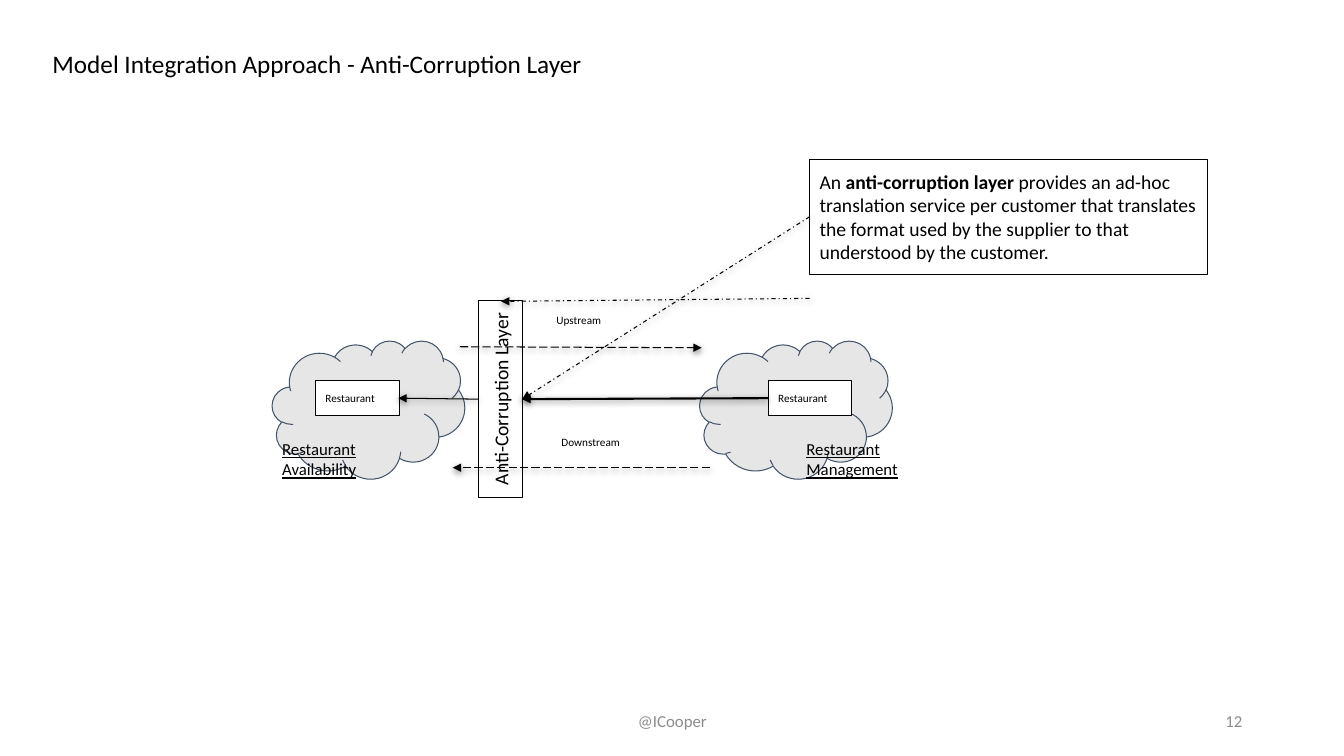
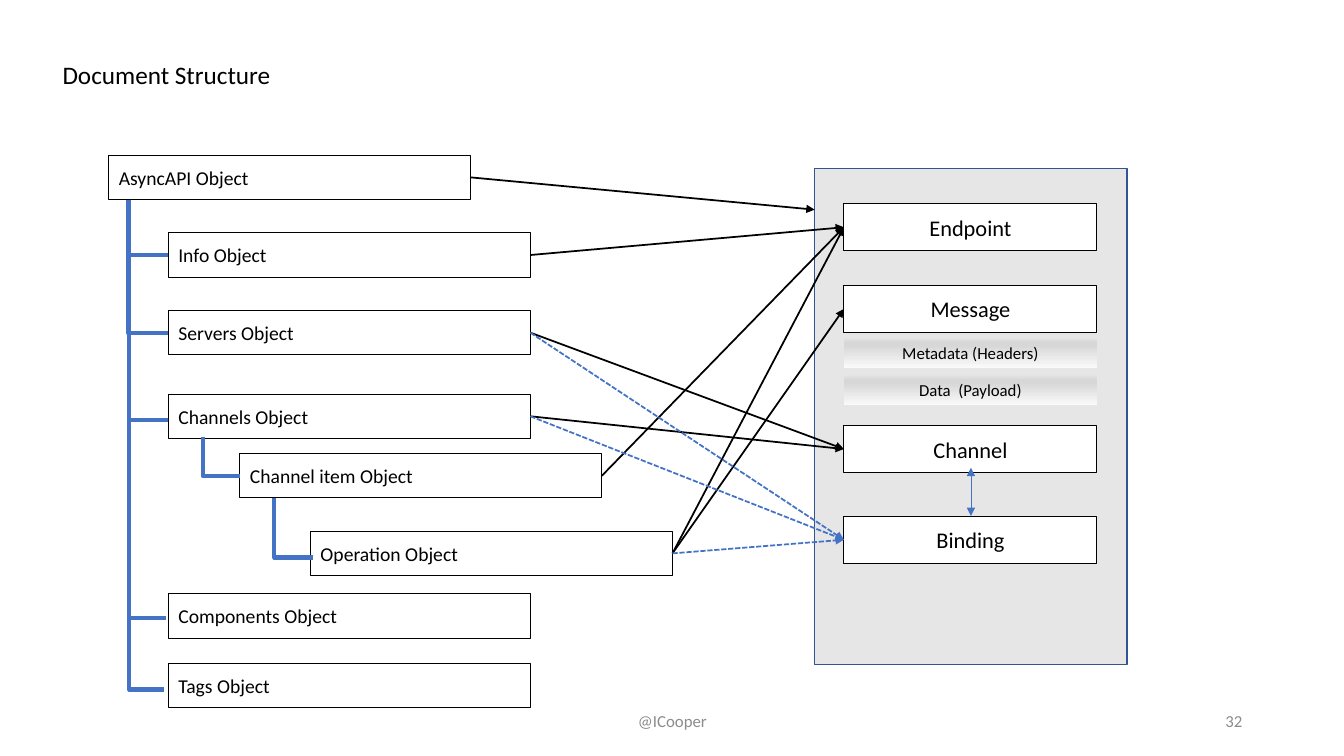
import pptx
import pptx.dml.color
import pptx.enum.dml
import pptx.enum.shapes
import pptx.enum.text
import pptx.oxml
import pptx.oxml.ns
import pptx.util

Inches = pptx.util.Inches
Pt = pptx.util.Pt
RGBColor = pptx.dml.color.RGBColor
SHAPE = pptx.enum.shapes.MSO_SHAPE
CONNECTOR = pptx.enum.shapes.MSO_CONNECTOR
DASH = pptx.enum.dml.MSO_LINE
ALIGN = pptx.enum.text.PP_ALIGN
ANCHOR = pptx.enum.text.MSO_ANCHOR
qn = pptx.oxml.ns.qn
A_NS = pptx.oxml.ns.nsdecls("a")

BLACK = RGBColor(0x00, 0x00, 0x00)
WHITE = RGBColor(0xFF, 0xFF, 0xFF)
LIGHT_GREY = RGBColor(0xE7, 0xE6, 0xE6)
FOOTER_GREY = RGBColor(0x8C, 0x8C, 0x8C)
SLATE = RGBColor(0x44, 0x54, 0x6A)
BLUE = RGBColor(0x44, 0x72, 0xC4)
DARK_BLUE = RGBColor(0x32, 0x54, 0x91)
FONT = "Calibri"

SOFT_SHADOW = (
    f'<a:effectLst {A_NS}><a:outerShdw blurRad="57150" dist="19050" dir="5400000" '
    'algn="ctr" rotWithShape="0"><a:srgbClr val="000000"><a:alpha val="50000"/>'
    '</a:srgbClr></a:outerShdw></a:effectLst>')
NO_SHADOW = f"<a:effectLst {A_NS}/>"


def add_box(slide, at, text="", size=14, kind=SHAPE.RECTANGLE, fill=None,
            line=BLACK, width=0.75, align=ALIGN.LEFT, color=BLACK):
    """Add a shape with text, or a plain text box when kind is None."""
    place = [Inches(value) for value in at]
    if kind is None:
        box = slide.shapes.add_textbox(*place)
    else:
        box = slide.shapes.add_shape(kind, *place)
        box.shadow.inherit = False
        if fill is None:
            box.fill.background()
        else:
            box.fill.solid()
            box.fill.fore_color.rgb = fill
        if line is None:
            box.line.fill.background()
        else:
            box.line.color.rgb = line
            box.line.width = Pt(width)
    frame = box.text_frame
    frame.word_wrap = True
    frame.vertical_anchor = ANCHOR.MIDDLE
    frame.margin_left = frame.margin_right = Inches(0.1)
    if text:
        frame.text = text
        paragraph = frame.paragraphs[0]
        paragraph.alignment = align
        font = paragraph.runs[0].font
        font.name, font.size, font.color.rgb = FONT, Pt(size), color
    return box


def connect(slide, begin, end, color=BLACK, width=0.75, dash=None,
            arrows=("tailEnd",), effect=NO_SHADOW, kind=CONNECTOR.STRAIGHT):
    """Add a connector with triangle heads at the named ends."""
    points = [Inches(value) for value in (*begin, *end)]
    connector = slide.shapes.add_connector(kind, *points)
    connector.line.color.rgb = color
    connector.line.width = Pt(width)
    if dash is not None:
        connector.line.dash_style = dash
    properties = connector._element.spPr
    outline = properties.find(qn("a:ln"))
    for arrow in arrows:
        outline.append(pptx.oxml.parse_xml(f'<a:{arrow} {A_NS} type="triangle"/>'))
    properties.append(pptx.oxml.parse_xml(effect))
    return connector


prs = pptx.Presentation()
prs.slide_width = Inches(13.33)
prs.slide_height = Inches(7.5)

# Titles, footers and page numbers
pages = []
for title_text, left, top, number in [
    ("Model Integration Approach - Anti-Corruption Layer", 0.42, 0.38, "12"),
    ("Document Structure", 0.52, 0.49, "32"),
]:
    slide = prs.slides.add_slide(prs.slide_layouts[5])
    title = slide.shapes.title
    title.left, title.top = Inches(left), Inches(top)
    title.width, title.height = Inches(8.65), Inches(0.5)
    frame = title.text_frame
    frame.text = title_text
    frame.auto_size = pptx.enum.text.MSO_AUTO_SIZE.NONE
    frame.vertical_anchor = ANCHOR.TOP
    frame.margin_left = frame.margin_right = Inches(0.1)
    frame.margin_top = frame.margin_bottom = Inches(0.1)
    frame.paragraphs[0].alignment = ALIGN.LEFT
    font = frame.paragraphs[0].runs[0].font
    font.name, font.size, font.color.rgb = FONT, Pt(18), BLACK
    add_box(slide, (4.42, 6.95, 4.5, 0.4), "@ICooper", 12, None,
            align=ALIGN.CENTER, color=FOOTER_GREY)
    add_box(slide, (9.42, 6.95, 3, 0.4), number, 12, None,
            align=ALIGN.RIGHT, color=FOOTER_GREY)
    pages.append(slide)
integration, structure = pages

# Slide 1: the two contexts
for cloud_left, model_left, label_left, label_width, context in [
    (2.7, 3.13, 2.7, 1.13, "Restaurant Availability"),
    (6.94, 7.62, 7.9, 1.3, "Restaurant Management"),
]:
    add_box(integration, (cloud_left, 3.38, 1.91, 1.37), kind=SHAPE.CLOUD,
            fill=LIGHT_GREY, line=SLATE)
    label = add_box(integration, (label_left, 4.25, label_width, 0.61), context, 12, None)
    label.text_frame.paragraphs[0].runs[0].font.underline = True
    add_box(integration, (model_left, 3.78, 0.83, 0.34), "Restaurant", 8, fill=WHITE)

add_box(integration, (5.42, 3.01, 0.9, 0.34), "Upstream", 8, None)
add_box(integration, (5.47, 4.22, 0.9, 0.34), "Downstream", 8, None)

# Slide 1: the layer and its explanation
layer = add_box(integration, (3.99, 3.74, 1.95, 0.44), "Anti-Corruption Layer",
                align=ALIGN.CENTER)
layer.rotation = 270

explanation = add_box(integration, (8.03, 1.58, 3.95, 1.14), "An ")
for text, bold in [
    ("anti-corruption layer", True),
    (" provides an ad-hoc translation service per customer that translates "
     "the format used by the supplier to that understood by the customer.", False),
]:
    run = explanation.text_frame.paragraphs[0].add_run()
    run.text = text
    run.font.name, run.font.size, run.font.color.rgb = FONT, Pt(14), BLACK
    run.font.bold = bold

# Slide 1: flows between the contexts
for begin, end, width, dash in [
    ((4.56, 3.44), (6.96, 3.45), 0.75, DASH.LONG_DASH),
    ((7.04, 4.64), (4.49, 4.64), 0.75, DASH.LONG_DASH),
    ((7.62, 3.95), (5.18, 3.96), 1.5, None),
    ((4.75, 3.96), (3.95, 3.95), 0.75, None),
    ((8.03, 2.96), (4.97, 2.99), 0.75, DASH.DASH_DOT),
    ((8.03, 2.15), (5.18, 3.96), 0.75, DASH.DASH_DOT),
]:
    connect(integration, begin, end, width=width, dash=dash, effect=SOFT_SHADOW)

# Slide 2: the object tree
OBJECT_WIDTH, OBJECT_HEIGHT = 3.59, 0.44
exits = {}
for name, left, top in [
    ("AsyncAPI", 1.08, 1.54),
    ("Info", 1.67, 2.31),
    ("Servers", 1.67, 3.08),
    ("Channels", 1.67, 3.91),
    ("Channel item", 2.38, 4.5),
    ("Operation", 3.08, 5.27),
    ("Components", 1.67, 5.89),
    ("Tags", 1.67, 6.58),
]:
    add_box(structure, (left, top, OBJECT_WIDTH, OBJECT_HEIGHT), name + " Object")
    exits[name] = (left + OBJECT_WIDTH, top + OBJECT_HEIGHT / 2)

# Slide 2: branches, each going down and then right
for x, y, child_x, child_y in [
    (1.28, 1.98, 1.67, 2.53),
    (1.27, 1.98, 1.67, 3.3),
    (1.28, 1.98, 1.67, 4.17),
    (1.28, 1.98, 1.65, 6.13),
    (1.28, 1.98, 1.63, 6.84),
    (2.01, 4.34, 2.38, 4.72),
    (2.72, 4.94, 3.1, 5.53),
]:
    middle_x, middle_y = (x + child_x) / 2, (y + child_y) / 2
    half_drop, half_reach = (child_y - y) / 2, (child_x - x) / 2
    branch = connect(structure, (middle_x - half_drop, middle_y - half_reach),
                     (middle_x + half_drop, middle_y + half_reach),
                     BLUE, 3, arrows=(), kind=CONNECTOR.ELBOW)
    properties = branch._element.spPr
    properties.find(qn("a:prstGeom")).set("prst", "bentConnector2")
    turn = properties.find(qn("a:xfrm"))
    turn.set("rot", "16200000")
    turn.set("flipH", "1")

# Slide 2: the panel of concepts
add_box(structure, (8.08, 1.67, 3.1, 4.92), fill=LIGHT_GREY, line=DARK_BLUE, width=1)
CONCEPT_LEFT, CONCEPT_WIDTH, CONCEPT_HEIGHT = 8.37, 2.51, 0.47
entries = {"Panel": (8.08, 2.08)}
for name, top in [("Endpoint", 2.02), ("Message", 2.83), ("Channel", 4.22), ("Binding", 5.12)]:
    add_box(structure, (CONCEPT_LEFT, top, CONCEPT_WIDTH, CONCEPT_HEIGHT), name, 16,
            fill=WHITE, align=ALIGN.CENTER)
    entries[name] = (CONCEPT_LEFT, top + CONCEPT_HEIGHT / 2)

for text, top in [("Metadata (Headers)", 3.35), ("Data  (Payload)", 3.72)]:
    part = add_box(structure, (CONCEPT_LEFT, top, CONCEPT_WIDTH, 0.3), text, 12,
                   line=None, align=ALIGN.CENTER)
    part.fill.gradient()
    part.fill.gradient_angle = 90
    stops = part._element.spPr.find(qn("a:gradFill")).find(qn("a:gsLst"))
    for stop in list(stops):
        stops.remove(stop)
    for percent, shade in [(0, "FAFAFA"), (74, "D7D7D7"), (83, "D7D7D7"), (100, "E4E4E4")]:
        stops.append(pptx.oxml.parse_xml(
            f'<a:gs {A_NS} pos="{percent * 1000}"><a:srgbClr val="{shade}"/></a:gs>'))

connect(structure, (9.63, 4.64), (9.63, 5.12), BLUE, 0.5, arrows=("headEnd", "tailEnd"))

# Slide 2: which object describes which concept
for source, target in [
    ("AsyncAPI", "Panel"),
    ("Info", "Endpoint"),
    ("Servers", "Channel"),
    ("Channels", "Channel"),
    ("Channel item", "Endpoint"),
    ("Operation", "Endpoint"),
    ("Operation", "Message"),
]:
    connect(structure, exits[source], entries[target], width=1.25)

for source in ("Servers", "Channels", "Operation"):
    connect(structure, exits[source], entries["Binding"], BLUE, 1.25, DASH.SQUARE_DOT)

prs.save("out.pptx")
